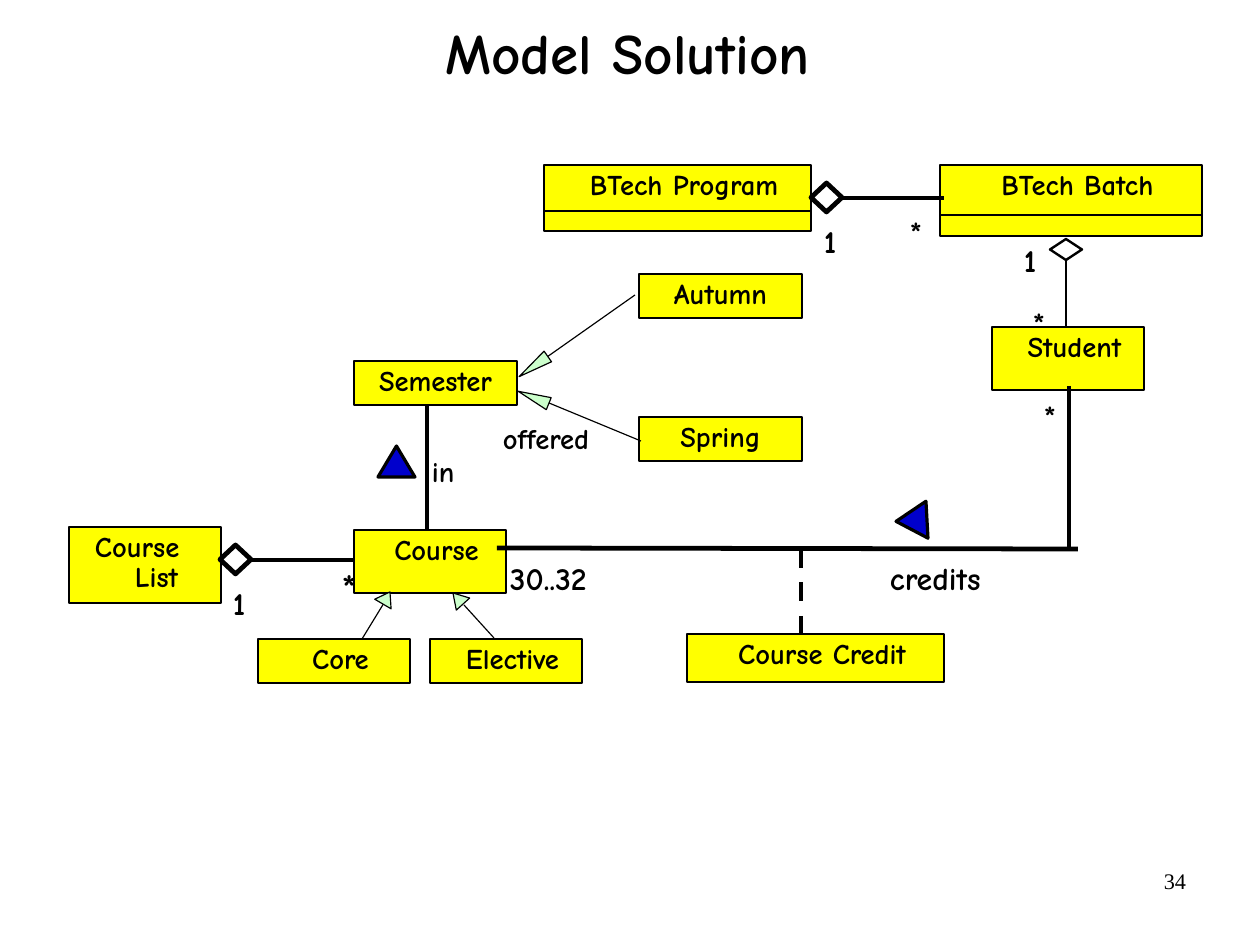
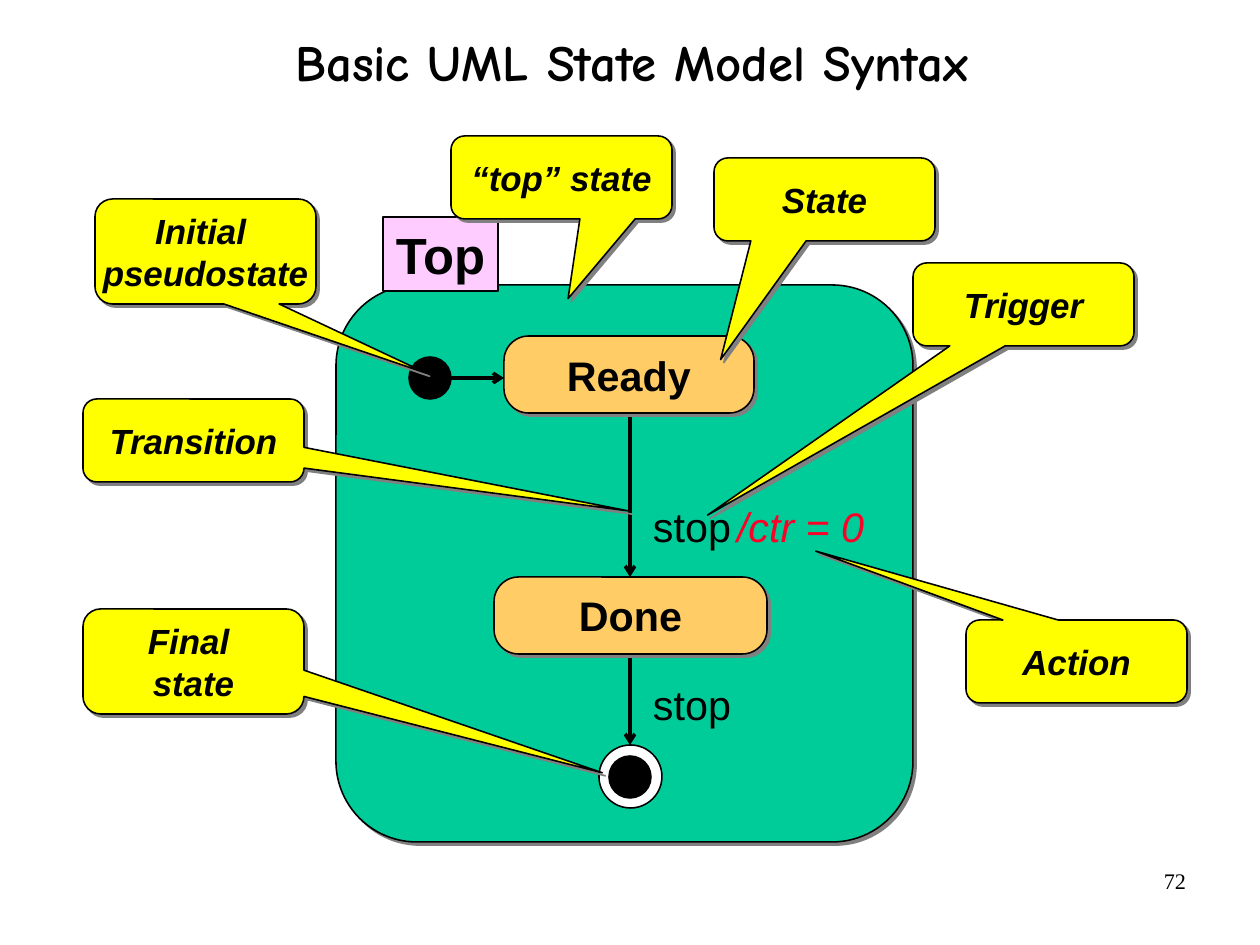
"""Build two UML slides: a class diagram and annotated state model syntax."""
from dataclasses import dataclass

from lxml import etree
from pptx import Presentation
from pptx.dml.color import RGBColor
from pptx.enum.dml import MSO_LINE
from pptx.enum.shapes import MSO_CONNECTOR, MSO_SHAPE
from pptx.enum.text import MSO_ANCHOR, PP_ALIGN
from pptx.oxml.ns import qn
from pptx.util import Pt

RECT, ROUND = MSO_SHAPE.RECTANGLE, MSO_SHAPE.ROUNDED_RECTANGLE
DIAMOND, OVAL = MSO_SHAPE.DIAMOND, MSO_SHAPE.OVAL
TRIANGLE, CALLOUT = MSO_SHAPE.ISOSCELES_TRIANGLE, MSO_SHAPE.ROUNDED_RECTANGULAR_CALLOUT
STRAIGHT, DASH = MSO_CONNECTOR.STRAIGHT, MSO_LINE.DASH
TOP, MIDDLE = MSO_ANCHOR.TOP, MSO_ANCHOR.MIDDLE
LEFT, CENTER, RIGHT = PP_ALIGN.LEFT, PP_ALIGN.CENTER, PP_ALIGN.RIGHT
PX = 8000


@dataclass(frozen=True)
class Style:
    font: str
    size: int
    bold: bool = False
    italic: bool = False
    color: str = "000000"
    spacing: float = 1.0


@dataclass(frozen=True)
class Theme:
    ink: str = "000000"
    white: str = "FFFFFF"
    yellow: str = "FFFF00"
    blue: str = "0000CC"
    mint: str = "CCFFCC"
    green: str = "00CC99"
    pink: str = "FFCCFF"
    orange: str = "FFCC66"
    shadow: str = "808080"
    title_large: Style = Style("Comic Neue", 36, True, spacing=0.88)
    title: Style = Style("Comic Neue", 32, True, spacing=0.88)
    number: Style = Style("Times New Roman", 14)
    class_name: Style = Style("Comic Neue", 18, True, spacing=0.88)
    role: Style = Style("Comic Neue", 18, True)
    count: Style = Style("Comic Neue", 20, True)
    count_large: Style = Style("Comic Neue", 24, True)
    tab: Style = Style("Arial", 32, True)
    state: Style = Style("Arial", 26, True)
    event: Style = Style("Arial", 26)
    action: Style = Style("Arial", 26, italic=True, color="FC0128")
    callout: Style = Style("Arial", 22, True, True)


T = Theme()


def draw(s, box, text="", style=None, kind=None, fill=None, weight=1, rot=0, adj=(),
         shadow=False, inset=(0, 0), anchor=MIDDLE, align=CENTER, wrap=True, indent=0, hang=0):
    """Add a preset shape, or a text box when kind is None."""
    left, top, width, height = (n * PX for n in box)
    if kind is None:
        sp = s.shapes.add_textbox(left, top, width, height)
    else:
        sp = s.shapes.add_shape(kind, left, top, width, height)
        sp.shadow.inherit = False
        sp.rotation = rot
        for i, value in enumerate(adj):
            sp.adjustments[i] = value
        if fill:
            sp.fill.solid()
            sp.fill.fore_color.rgb = RGBColor.from_string(fill)
        else:
            sp.fill.background()
        sp.line.color.rgb = RGBColor.from_string(T.ink)
        sp.line.width = Pt(weight)
    if shadow:
        effects = sp._element.spPr.find(qn("a:effectLst"))
        outer = etree.SubElement(effects, qn("a:outerShdw"), blurRad="0",
                                 dist=str(Pt(2.8)), dir="2700000", algn="ctr", rotWithShape="0")
        etree.SubElement(outer, qn("a:srgbClr"), val=T.shadow)
    if not text:
        return
    tf = sp.text_frame
    tf.text = text
    tf.word_wrap = wrap
    tf.vertical_anchor = anchor
    tf.margin_left = tf.margin_right = inset[0] * PX
    tf.margin_top = tf.margin_bottom = inset[1] * PX
    for p in tf.paragraphs:
        p.alignment = align
        p.line_spacing = style.spacing
        if indent:
            pPr = p._p.get_or_add_pPr()
            pPr.set("marL", str(indent * PX))
            pPr.set("indent", str(-hang * PX))
        for r in p.runs:
            r.font.name, r.font.size = style.font, Pt(style.size)
            r.font.bold, r.font.italic = style.bold, style.italic
            r.font.color.rgb = RGBColor.from_string(style.color)


def connect(s, x1, y1, x2, y2, weight, dash=False, arrow=False):
    """Add a straight connector."""
    line = s.shapes.add_connector(STRAIGHT, x1 * PX, y1 * PX, x2 * PX, y2 * PX)
    line.line.color.rgb = RGBColor.from_string(T.ink)
    line.line.width = Pt(weight)
    if dash:
        line.line.dash_style = DASH
    if arrow:
        etree.SubElement(line.line._get_or_add_ln(), qn("a:tailEnd"), type="arrow")
    etree.SubElement(line._element.spPr, qn("a:effectLst"))


prs = Presentation()
prs.slide_width, prs.slide_height = 1260 * PX, 945 * PX
pages = [
    ("Model Solution", T.title_large, (92, 0, 1071, 113), "34"),
    ("Basic UML State Model Syntax", T.title, (95, 0, 1074, 131), "72"),
]
for title, style, box, number in pages:
    s = prs.slides.add_slide(prs.slide_layouts[6])
    draw(s, box, title, style)
    draw(s, (903, 861, 294, 65), number, T.number, inset=(11, 6), anchor=TOP, align=RIGHT)
class_slide, state_slide = prs.slides

s = class_slide
classes = [
    ("BTech Program", 544, 165, 267, 66, CENTER, 53),
    ("BTech Batch", 940, 165, 262, 71, CENTER, 53),
    ("Student", 992, 327, 152, 63, CENTER, 53),
    ("Course Credit", 687, 634, 257, 48, CENTER, 53),
    ("Course", 354, 530, 152, 63, CENTER, 53),
    ("Course List", 69, 527, 152, 76, LEFT, 53),
    ("Core", 258, 639, 152, 44, CENTER, 53),
    ("Elective", 430, 639, 152, 44, CENTER, 53),
    ("Semester", 354, 361, 163, 44, CENTER, 0),
    ("Autumn", 639, 274, 163, 44, CENTER, 0),
    ("Spring", 639, 417, 163, 44, CENTER, 0),
]
for name, x, y, w, h, align, indent in classes:
    draw(s, (x, y, w, h), name, T.class_name, RECT, T.yellow, 1.5, inset=(13, 6),
         anchor=TOP, align=align, indent=indent, hang=40)

dividers = [(544, 211, 811, 211), (940, 215, 1202, 215)]
for ends in dividers + [(1066, 259, 1066, 327)]:
    connect(s, *ends, 1.5)
associations = [
    (842, 198, 944, 198),
    (1069, 386, 1069, 549),
    (497, 548, 1078, 549),
    (251, 560, 354, 560),
    (427, 406, 427, 530),
]
for ends in associations:
    connect(s, *ends, 3)
connect(s, 801, 549, 801, 634, 3, dash=True)

for box, weight in [((811, 183, 31, 29), 3), ((220, 545, 31, 29), 3), ((1050, 239, 32, 21), 1.5)]:
    draw(s, box, kind=DIAMOND, weight=weight)

generalizations = [
    ((362, 639, 384, 603), (377, 591, 19, 14), 30.3),
    ((494, 638, 464, 605), (449, 591, 18, 15), 318),
    ((641, 441, 549, 403), (527, 381, 13, 33), 292.1),
    ((635, 295, 547, 357), (527, 349, 13, 35), 234.9),
]
for ends, head, rot in generalizations:
    connect(s, *ends, 0.75)
    draw(s, head, kind=TRIANGLE, fill=T.mint, weight=0.75, rot=rot)
for x, y, rot in [(893, 505, 266.9), (378, 446, 0)]:
    draw(s, (x, y, 37, 31), kind=TRIANGLE, fill=T.blue, weight=2, rot=rot)

labels = [
    ("1", 824, 222, T.count),
    ("*", 910, 213, T.count),
    ("1", 1024, 241, T.count),
    ("*", 1033, 304, T.count),
    ("*", 1044, 397, T.count),
    ("30..32", 510, 559, T.count),
    ("credits", 890, 559, T.count),
    ("1", 233, 584, T.count),
    ("*", 342, 563, T.count_large),
    ("offered", 503, 421, T.role),
    ("in", 432, 454, T.role),
]
for text, x, y, style in labels:
    draw(s, (x, y, 110, 38), text, style, anchor=TOP, align=LEFT)

s = state_slide
draw(s, (336, 285, 577, 557), kind=ROUND, fill=T.green, adj=(0.145,), shadow=True)
draw(s, (383, 217, 115, 74), "Top", T.tab, RECT, T.pink, wrap=False)
for ends in [(630, 416, 630, 577), (630, 657, 630, 745), (431, 378, 504, 378)]:
    connect(s, *ends, 2.25, arrow=True)
for name, x, y, w in [("Ready", 504, 336, 250), ("Done", 494, 577, 273)]:
    draw(s, (x, y, w, 77), name, T.state, ROUND, T.orange, adj=(0.32,), shadow=True)
for x, y, size, fill in [(409, 357, 42, T.ink), (599, 745, 63, T.white), (609, 756, 42, T.ink)]:
    draw(s, (x, y, size, size), kind=OVAL, fill=fill)

events = [
    ("stop", 653, 501, T.event),
    ("/ctr = 0", 737, 501, T.action),
    ("stop", 653, 679, T.event),
]
for text, x, y, style in events:
    draw(s, (x, y, 150, 48), text, style, anchor=TOP, align=LEFT)

callouts = [
    ("State", 714, 158, 83, -0.47, 1.93),
    ("Trigger", 913, 263, 83, -1.43, 2.54),
    ("Action", 966, 620, 83, -1.18, -1.33),
    ("Initial \npseudostate", 95, 199, 105, 1, 1.16),
    ("Transition", 83, 399, 83, 1.97, 0.85),
    ("Final \nstate", 83, 609, 105, 1.85, 1.06),
    ("“top” state", 451, 136, 83, 0.03, 1.46),
]
for text, x, y, h, tip_x, tip_y in callouts:
    draw(s, (x, y, 221, h), text, T.callout, CALLOUT, T.yellow,
         adj=(tip_x, tip_y, 0.167), shadow=True, wrap=False)

prs.save("out.pptx")
